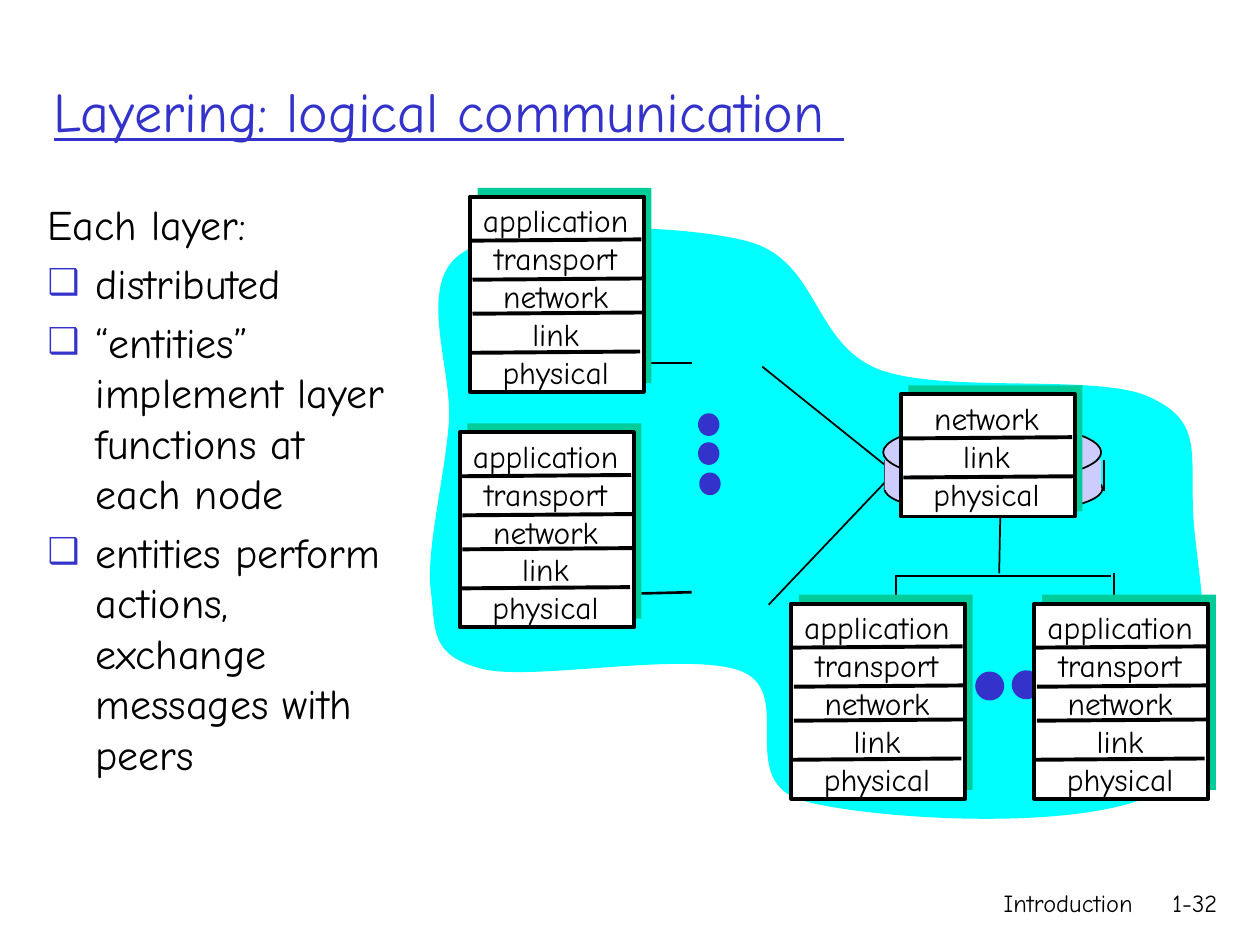
from pptx import Presentation
from pptx.dml.color import RGBColor
from pptx.enum.shapes import MSO_CONNECTOR, MSO_SHAPE
from pptx.enum.text import MSO_ANCHOR, PP_ALIGN
from pptx.oxml.ns import qn
from pptx.util import Inches, Pt
from lxml import etree

LEFT, CENTER, RIGHT = PP_ALIGN.LEFT, PP_ALIGN.CENTER, PP_ALIGN.RIGHT
TOP, MIDDLE = MSO_ANCHOR.TOP, MSO_ANCHOR.MIDDLE
OVAL, RECTANGLE = MSO_SHAPE.OVAL, MSO_SHAPE.RECTANGLE
STRAIGHT = MSO_CONNECTOR.STRAIGHT

FONT = "Comic Neue"
COLORS = {
    "text": "000000", "accent": "3333CC", "cloud": "00FFFF",
    "router": "CCCCFF", "shade": "00CC99", "paper": "FFFFFF",
}

TITLE = "Layering: logical communication "
INTRO = "Each layer:"
POINTS = [
    "distributed",
    "“entities” implement layer functions at each node",
    "entities perform actions, exchange messages with peers",
]
HOST_LAYERS = ["application", "transport", "network", "link", "physical"]
ROUTER_LAYERS = HOST_LAYERS[2:]

STACKS = [
    (3.73, 1.56, 1.55, 1.55, HOST_LAYERS),
    (3.65, 3.43, 1.55, 1.55, HOST_LAYERS),
    (6.28, 4.79, 1.55, 1.55, HOST_LAYERS),
    (8.21, 4.79, 1.55, 1.55, HOST_LAYERS),
    (7.15, 3.13, 0.97, 1, ROUTER_LAYERS),
]
STACK_WIDTH = 1.38
RULES = [(0, 0.35), (0.02, 0.66), (0.02, 0.93), (-0.01, 1.24)]
RULE_LENGTH = 1.36

CLOUD_START = (5.95, 1.92)
CLOUD_CURVES = [
    ((5.4, 1.77), (4.08, 1.75), (3.68, 2)),
    ((3.28, 2.24), (3.61, 2.95), (3.56, 3.39)),
    ((3.52, 3.84), (3.38, 4.38), (3.42, 4.69)),
    ((3.46, 5.01), (3.41, 5.2), (3.83, 5.31)),
    ((4.24, 5.41), (5.47, 5.16), (5.89, 5.33)),
    ((6.32, 5.51), (5.82, 6.21), (6.39, 6.36)),
    ((6.95, 6.51), (8.75, 6.62), (9.27, 6.24)),
    ((9.78, 5.86), (9.5, 4.6), (9.47, 4.08)),
    ((9.45, 3.57), (9.54, 3.34), (9.12, 3.15)),
    ((8.71, 2.96), (7.49, 3.13), (6.97, 2.93)),
    ((6.45, 2.72), (6.5, 2.08), (5.95, 1.92)),
]

HOST_LINKS = [(5.09, 2.88, 5.49, 2.88), (5.09, 4.71, 5.49, 4.7)]
NETWORK_LINKS = [
    (7.1, 4.57, 8.82, 4.57), (7.11, 4.56, 7.11, 4.85), (8.84, 4.55, 8.84, 4.8),
    (6.05, 2.91, 7.06, 3.72), (6.1, 4.8, 7.06, 3.79), (7.93, 4.55, 7.94, 4.05),
]
DOTS = [
    (5.54, 3.28, 0.17, 0.18), (5.54, 3.51, 0.17, 0.18), (5.55, 3.75, 0.17, 0.18),
    (7.74, 5.33, 0.23, 0.23), (8.03, 5.32, 0.23, 0.23),
]


def color(name):
    return RGBColor.from_string(COLORS[name])


def paint(shape, fill, line=None):
    shape.shadow.inherit = False
    shape.fill.solid()
    shape.fill.fore_color.rgb = color(fill)
    if line:
        shape.line.color.rgb = color("text")
        shape.line.width = Pt(line)
    else:
        shape.line.fill.background()


def add_block(page, kind, left, top, width, height, fill, line=None):
    shape = page.shapes.add_shape(
        kind, Inches(left), Inches(top), Inches(width), Inches(height))
    paint(shape, fill, line)


def add_line(page, x1, y1, x2, y2, width=1):
    line = page.shapes.add_connector(
        STRAIGHT, Inches(x1), Inches(y1), Inches(x2), Inches(y2))
    line.line.color.rgb = color("text")
    line.line.width = Pt(width)
    etree.SubElement(line._element.spPr, qn("a:effectLst"))


def add_bullet(para):
    props = para._p.get_or_add_pPr()
    props.set("marL", str(Inches(0.38)))
    props.set("indent", str(-Inches(0.38)))
    tint = etree.SubElement(props, qn("a:buClr"))
    etree.SubElement(tint, qn("a:srgbClr"), val=COLORS["accent"])
    etree.SubElement(props, qn("a:buSzPct"), val="85000")
    etree.SubElement(props, qn("a:buFont"), typeface=FONT)
    etree.SubElement(props, qn("a:buChar"), char="❑")


def add_text(page, lines, left, top, width, height, size=18, tint="text",
             align=LEFT, anchor=TOP, inset=0.1, gap=0, underline=False, bullets=()):
    box = page.shapes.add_textbox(
        Inches(left), Inches(top), Inches(width), Inches(height))
    frame = box.text_frame
    frame.word_wrap = True
    frame.vertical_anchor = anchor
    frame.margin_left = frame.margin_right = Inches(inset)
    for index, line in enumerate(lines):
        para = frame.paragraphs[0] if index == 0 else frame.add_paragraph()
        para.alignment = align
        if index and gap:
            para.space_before = Pt(gap)
        if line in bullets:
            add_bullet(para)
        span = para.add_run()
        span.text = line
        span.font.name = FONT
        span.font.size = Pt(size)
        span.font.color.rgb = color(tint)
        if underline:
            span.font.underline = True


def add_cloud(page):
    units = 1000
    points = [(x * units, y * units) for curve in CLOUD_CURVES for x, y in curve]
    builder = page.shapes.build_freeform(
        *(value * units for value in CLOUD_START), scale=Inches(1) / units)
    builder.add_line_segments(points, close=True)
    cloud = builder.convert_to_shape()
    segments = list(cloud._element.iter(qn("a:lnTo")))
    for first in range(0, len(segments), 3):
        curve = etree.Element(qn("a:cubicBezTo"))
        segments[first].addprevious(curve)
        for segment in segments[first:first + 3]:
            curve.append(segment[0])
            segment.getparent().remove(segment)
    paint(cloud, "cloud")


def add_router(page):
    add_block(page, OVAL, 7.02, 3.68, 1.73, 0.4, "router", 1)
    for x in (7.02, 8.76):
        add_line(page, x, 3.65, x, 3.9)
    add_block(page, RECTANGLE, 7.02, 3.65, 1.72, 0.24, "router")
    add_block(page, OVAL, 7.01, 3.36, 1.73, 0.46, "router", 1)


def add_stack(page, left, top, height, shade_height, layers):
    add_block(page, RECTANGLE, left + 0.06, top - 0.07, STACK_WIDTH, shade_height, "shade")
    add_block(page, RECTANGLE, left, top, STACK_WIDTH, height, "paper", 2.25)
    add_text(page, layers, left - 0.04, top - 0.01, STACK_WIDTH + 0.06,
             0.3 * len(layers) + 0.1, align=CENTER, inset=0)
    for shift, drop in RULES[:len(layers) - 1]:
        x, y = left + shift, top + drop
        add_line(page, x, y, x + RULE_LENGTH, y - 0.01, 2.25)


def main():
    deck = Presentation()
    deck.slide_width, deck.slide_height = Inches(10), Inches(7.5)
    page = deck.slides.add_slide(deck.slide_layouts[6])

    add_text(page, ["Introduction"], 5.92, 7, 3.17, 0.5, size=14, align=RIGHT)
    add_text(page, ["1-32"], 9.08, 7, 0.68, 0.5, size=14, align=RIGHT)
    add_text(page, [TITLE], 0.33, 0.25, 9.17, 1.25, size=32, tint="accent",
             anchor=MIDDLE, underline=True)
    add_cloud(page)
    for link in HOST_LINKS:
        add_line(page, *link, width=1.5)
    for dot in DOTS:
        add_block(page, OVAL, *dot, "accent")
    for link in NETWORK_LINKS:
        add_line(page, *link)
    add_router(page)
    for stack in STACKS:
        add_stack(page, *stack)
    add_text(page, [INTRO, *POINTS], 0.28, 1.53, 3, 5.08, size=24, gap=4.8,
             bullets=POINTS)
    deck.save("out.pptx")


if __name__ == "__main__":
    main()
